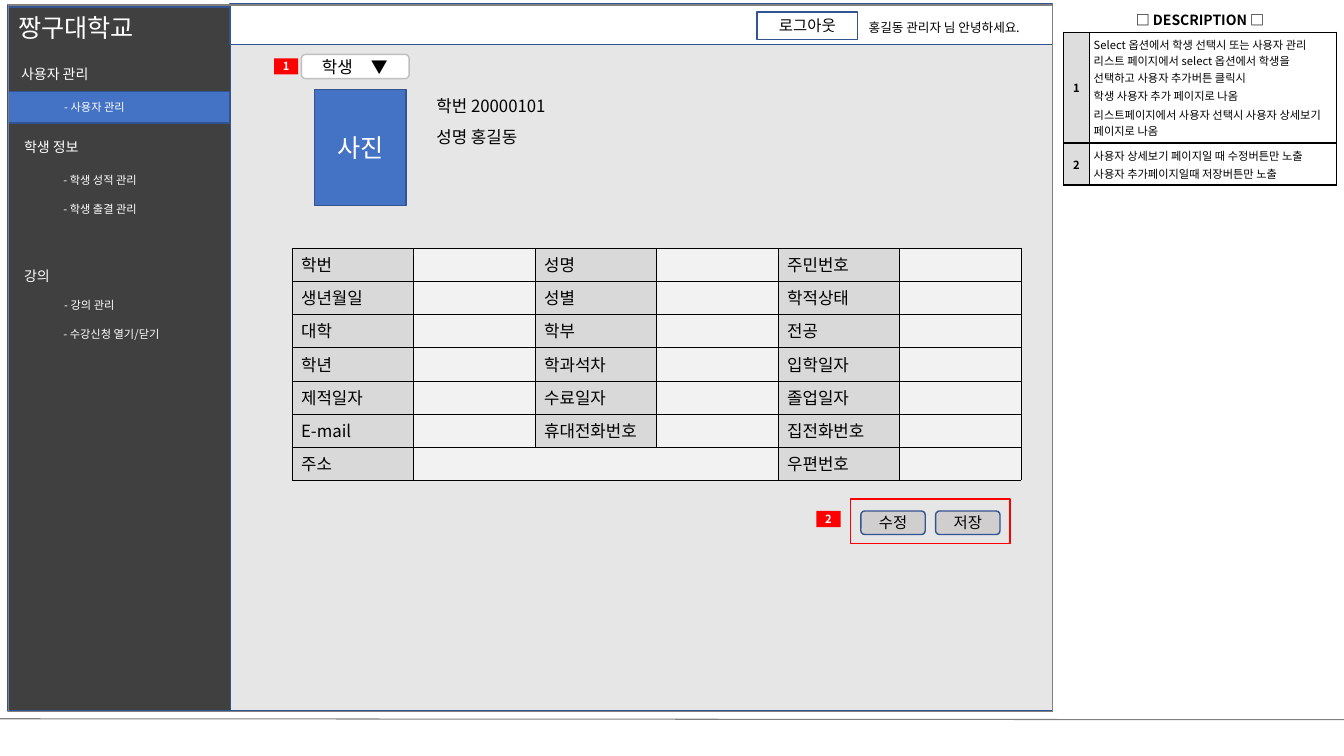
from dataclasses import dataclass

from lxml.etree import SubElement
from pptx import Presentation
from pptx.dml.color import RGBColor
from pptx.enum.shapes import MSO_CONNECTOR, MSO_SHAPE
from pptx.enum.text import MSO_ANCHOR, MSO_AUTO_SIZE, PP_ALIGN
from pptx.oxml.ns import qn
from pptx.util import Pt


@dataclass(frozen=True)
class Theme:
    font: str = "Noto Sans CJK KR"
    black: str = "000000"
    white: str = "FFFFFF"
    page: str = "E7E6E6"
    sidebar: str = "404040"
    accent: str = "4472C4"
    outline: str = "325491"
    frame: str = "808080"
    select_line: str = "BFBFBF"
    alert: str = "FF0000"
    button: str = "D0CECE"
    label: str = "D9D9D9"
    value: str = "F2F2F2"
    number: str = "DDDDDD"
    title: float = 18
    body: float = 12
    control: float = 11
    section: float = 10
    greeting: float = 9
    small: float = 8


@dataclass(frozen=True)
class Box:
    left: float
    top: float
    width: float
    height: float

    def inner(self, dx, dy, width, height):
        return Box(self.left + dx, self.top + dy, width, height)

    def lengths(self):
        return Pt(self.left), Pt(self.top), Pt(self.width), Pt(self.height)


THEME = Theme()
MENU_SECTIONS = [("사용자 관리", 2.2, 38.2), ("학생 정보", 4.3, 90.7), ("강의", 4.3, 182.2)]
MENU_ITEMS = [
    ("- 사용자 관리", 33, 63.4, 64),
    ("- 학생 성적 관리", 32.4, 115.2, 75),
    ("- 학생 출결 관리", 32.4, 136.1, 75),
    ("- 강의 관리", 33, 204.5, 59),
    ("- 수강신청 열기/닫기", 32.4, 225.4, 91.4),
]
STUDENT_FIELDS = [
    ("학번", "성명", "주민번호"),
    ("생년월일", "성별", "학적상태"),
    ("대학", "학부", "전공"),
    ("학년", "학과석차", "입학일자"),
    ("제적일자", "수료일자", "졸업일자"),
    ("E-mail", "휴대전화번호", "집전화번호"),
    ("주소", "", "우편번호"),
]
DESCRIPTIONS = [
    "Select 옵션에서 학생 선택시 또는 사용자 관리 리스트 페이지에서 select 옵션에서 학생을 "
    "선택하고 사용자 추가버튼 클릭시\n학생 사용자 추가 페이지로 나옴\n"
    "리스트페이지에서 사용자 선택시 사용자 상세보기 페이지로 나옴",
    "사용자 상세보기 페이지일 때 수정버튼만 노출\n사용자 추가페이지일때 저장버튼만 노출",
]


def write(frame, text, size, color, align=PP_ALIGN.LEFT, bold=False, before=0):
    frame.text = text
    for paragraph in frame.paragraphs:
        paragraph.alignment = align
        paragraph.space_before = Pt(before)
        for run in paragraph.runs:
            run.font.name = THEME.font
            run.font.size = Pt(size)
            run.font.bold = bold
            run.font.color.rgb = RGBColor.from_string(color)
            SubElement(run.font._element, qn("a:ea"), typeface=THEME.font)
        if not paragraph.runs:
            SubElement(paragraph._p, qn("a:endParaRPr"), sz=str(size * 100))


def add_panel(slide, box, fill=None, line=None, weight=1, kind=MSO_SHAPE.RECTANGLE):
    panel = slide.shapes.add_shape(kind, *box.lengths())
    panel.shadow.inherit = False
    if fill:
        panel.fill.solid()
        panel.fill.fore_color.rgb = RGBColor.from_string(fill)
    else:
        panel.fill.background()
    if line:
        panel.line.color.rgb = RGBColor.from_string(line)
        panel.line.width = Pt(weight)
    else:
        panel.line.fill.background()
    panel.text_frame.vertical_anchor = MSO_ANCHOR.MIDDLE
    return panel


def add_label(slide, box, text, size, color, wrap=False):
    frame = slide.shapes.add_textbox(*box.lengths()).text_frame
    frame.word_wrap = wrap
    frame.auto_size = MSO_AUTO_SIZE.SHAPE_TO_FIT_TEXT
    write(frame, text, size, color)


def add_badge(slide, box, number):
    badge = add_panel(slide, box, THEME.alert)
    badge.text_frame.word_wrap = False
    write(badge.text_frame, number, THEME.small, THEME.white, PP_ALIGN.CENTER, True)


def style_cell(cell, fill, weight, edges="LRTB", margin_x=6.5):
    for edge in edges:
        border = SubElement(cell._tc.get_or_add_tcPr(), qn(f"a:ln{edge}"), w=str(Pt(weight)))
        SubElement(SubElement(border, qn("a:solidFill")), qn("a:srgbClr"), val=THEME.black)
    cell.fill.solid()
    cell.fill.fore_color.rgb = RGBColor.from_string(fill)
    cell.margin_left = cell.margin_right = Pt(margin_x)
    cell.margin_top = cell.margin_bottom = Pt(3)


def add_grid(slide, box, widths, heights):
    grid = slide.shapes.add_table(len(heights), len(widths), *box.lengths()).table
    grid.first_row = grid.horz_banding = False
    for column, width in zip(grid.columns, widths):
        column.width = Pt(width)
    for row, height in zip(grid.rows, heights):
        row.height = Pt(height)
    return grid


def draw_sidebar(slide, box):
    add_panel(slide, box, THEME.sidebar, THEME.outline)
    add_panel(slide, box.inner(0, 60.5, 158.4, 22.3), THEME.accent, THEME.outline)
    add_label(slide, box.inner(0, 0, 105, 29), "짱구대학교", THEME.title, THEME.white)
    for section, dx, dy in MENU_SECTIONS:
        add_label(slide, box.inner(dx, dy, 217.4, 19.4), section, THEME.section, THEME.white, True)
    for item, dx, dy, width in MENU_ITEMS:
        add_label(slide, box.inner(dx, dy, width, 17), item, THEME.small, THEME.white)


def draw_header(slide, box):
    add_panel(slide, box, THEME.white, THEME.outline)
    logout = add_panel(slide, box.inner(376.5, 5.8, 72, 19.4), THEME.white, THEME.outline)
    write(logout.text_frame, "로그아웃", THEME.control, THEME.black, PP_ALIGN.CENTER)
    add_label(slide, box.inner(449.2, 7.9, 135.4, 18), "홍길동 관리자 님 안녕하세요.",
              THEME.greeting, THEME.black)


def draw_profile(slide, box):
    add_badge(slide, box.inner(31.6, 10, 17.3, 11.5), "1")
    select = add_panel(slide, box.inner(51.1, 7.2, 77, 17.3), THEME.white, THEME.select_line,
                       kind=MSO_SHAPE.ROUNDED_RECTANGLE)
    select.text_frame.margin_left = Pt(13.8)
    select.text_frame.margin_right = 0
    write(select.text_frame, "학생\t▼", THEME.body, THEME.black)
    tabs = SubElement(select.text_frame.paragraphs[0]._p.get_or_add_pPr(), qn("a:tabLst"))
    SubElement(tabs, qn("a:tab"), pos=str(Pt(35)), algn="l")
    photo = add_panel(slide, box.inner(60.4, 32.4, 65.5, 82.8), THEME.accent, THEME.outline)
    write(photo.text_frame, "사진", THEME.title, THEME.white, PP_ALIGN.CENTER)
    for dy, width, fact in [(33.1, 96.5, "학번 20000101"), (55.4, 79.2, "성명 홍길동")]:
        add_label(slide, box.inner(140.4, dy, width, 21.6), fact, THEME.body, THEME.black)


def draw_student_table(slide, box):
    rows = len(STUDENT_FIELDS)
    grid = add_grid(slide, box, [box.width / 6] * 6, [box.height / rows] * rows)
    for row, fields in enumerate(STUDENT_FIELDS):
        for column in range(6):
            field = fields[column // 2] if column % 2 == 0 else ""
            cell = grid.cell(row, column)
            style_cell(cell, THEME.label if field else THEME.value, 0.25)
            write(cell.text_frame, field, THEME.body, THEME.black)
    grid.cell(rows - 1, 1).merge(grid.cell(rows - 1, 3))


def draw_actions(slide, box):
    add_badge(slide, box.inner(-24.5, 8.6, 17.3, 11.5), "2")
    for index, action in enumerate(["수정", "저장"]):
        button = add_panel(slide, box.inner(7.2 + 53.4 * index, 8.6, 46, 16.8), THEME.button,
                           THEME.outline, kind=MSO_SHAPE.ROUNDED_RECTANGLE)
        write(button.text_frame, action, THEME.control, THEME.black, PP_ALIGN.CENTER)
    add_panel(slide, box, line=THEME.alert)


def draw_description(slide, box):
    grid = add_grid(slide, box, [18.7, box.width - 18.7], [19.4, 79.2, 30])
    for column in range(2):
        style_cell(grid.cell(0, column), THEME.white, 1, "B", 3)
    heading = grid.cell(0, 0)
    heading.merge(grid.cell(0, 1))
    heading.vertical_anchor = MSO_ANCHOR.MIDDLE
    write(heading.text_frame, "□ DESCRIPTION □", THEME.section, THEME.black,
          PP_ALIGN.CENTER, True, 2)
    for row, description in enumerate(DESCRIPTIONS, 1):
        number, note = grid.cell(row, 0), grid.cell(row, 1)
        for cell, fill in [(number, THEME.number), (note, THEME.white)]:
            style_cell(cell, fill, 1, margin_x=3)
            cell.vertical_anchor = MSO_ANCHOR.MIDDLE
        write(number.text_frame, str(row), THEME.small, THEME.black, PP_ALIGN.CENTER, True, 1.6)
        write(note.text_frame, description, THEME.small, THEME.black, before=1.6)


def draw_footer_line(slide, box):
    rule = slide.shapes.add_connector(MSO_CONNECTOR.STRAIGHT, Pt(box.left), Pt(box.top),
                                      Pt(box.left + box.width), Pt(box.top + box.height))
    rule.line.color.rgb = RGBColor.from_string(THEME.frame)
    rule.line.width = Pt(0.75)
    SubElement(rule._element.spPr, qn("a:effectLst"))


def main():
    deck = Presentation()
    deck.slide_width, deck.slide_height = Pt(960), Pt(540)
    slide = deck.slides.add_slide(deck.slide_layouts[6])
    screen = Box(5.8, 3.6, 745.9, 504.4)
    content = screen.inner(158.4, 28.1, 587.5, 476.3)
    add_panel(slide, screen, THEME.page, THEME.outline)
    draw_sidebar(slide, screen.inner(0, 1.4, 159, 502.6))
    draw_header(slide, screen.inner(158.4, -0.7, 587.5, 28.8))
    add_panel(slide, screen, line=THEME.frame, weight=0.75)
    draw_profile(slide, content)
    draw_student_table(slide, content.inner(44.4, 145.4, 520.8, 165.9))
    draw_actions(slide, content.inner(443.5, 324.7, 113.8, 31.7))
    draw_description(slide, Box(759.6, 3.6, 195.1, 128.6))
    draw_footer_line(slide, Box(0, 513.4, 960, 0.7))
    deck.save("out.pptx")


if __name__ == "__main__":
    main()
